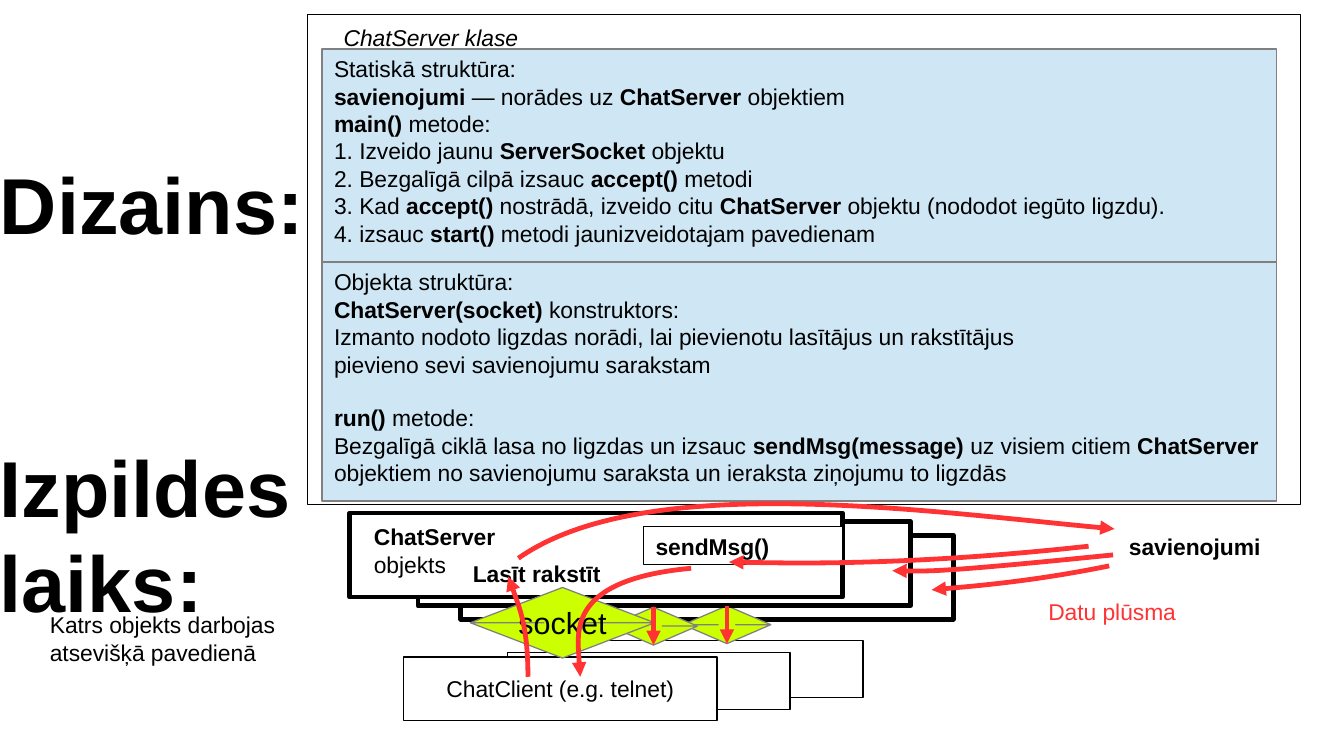
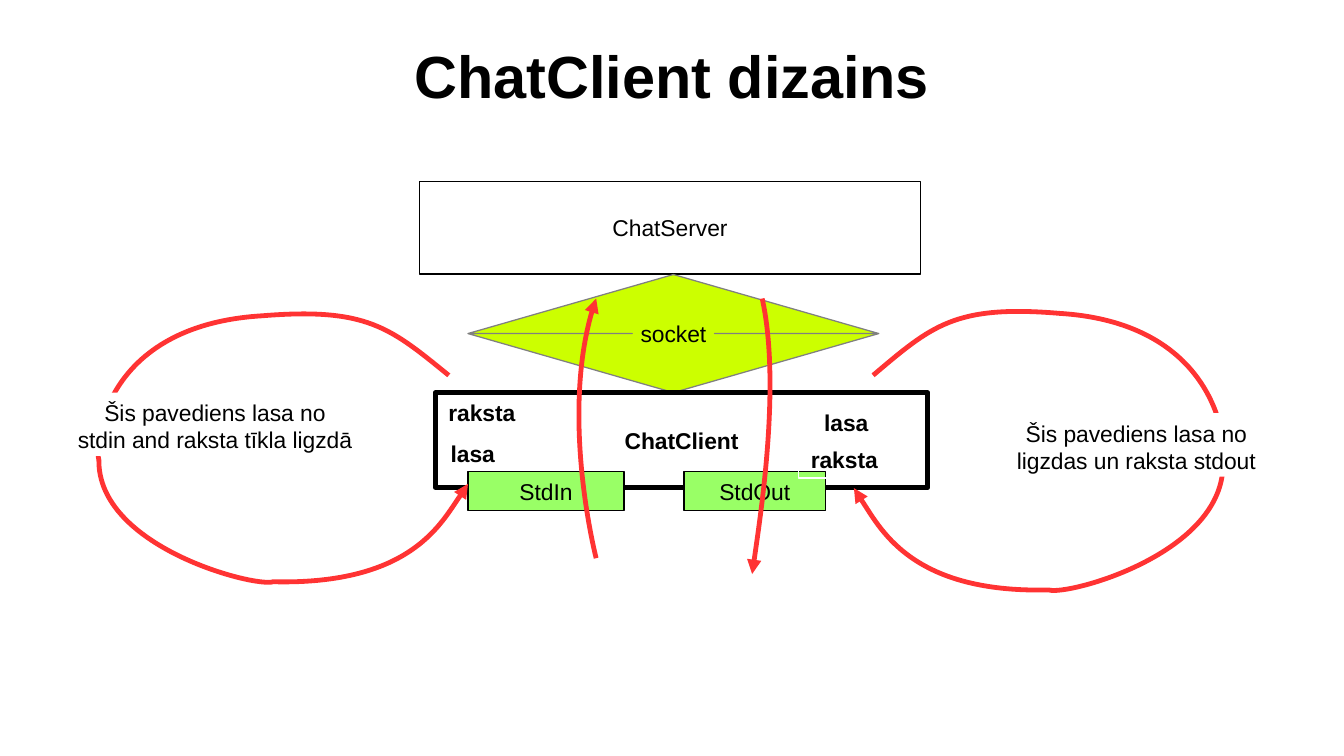
from math import comb

from lxml.etree import SubElement
from pptx import Presentation
from pptx.dml.color import RGBColor
from pptx.enum.shapes import MSO_CONNECTOR, MSO_SHAPE
from pptx.enum.text import MSO_ANCHOR, PP_ALIGN
from pptx.oxml.ns import qn
from pptx.util import Cm, Pt

FONT = "Arial"
BODY_SIZE = 13.5
HAIRLINE, THICK = 0, 2.83
COLORS = {
    "black": "000000", "white": "FFFFFF", "gray": "808080", "red": "FF3333",
    "blue": "CFE7F5", "lime": "CCFF00", "green": "99FF66",
}

# Looks and usual sizes in cm; a style without "shape" is a plain text box.
RECT, ARROW = MSO_SHAPE.RECTANGLE, MSO_SHAPE.UP_DOWN_ARROW
LINE_HEIGHT = 0.79
TWO_LINES = 1.32
CENTERED = dict(align=PP_ALIGN.CENTER, wrap=False)
MIDDLE = dict(CENTERED, anchor=MSO_ANCHOR.MIDDLE)
WHITE_BOX = dict(shape=RECT, fill="white", line="black")
TAG = dict(CENTERED, bold=True, width=1.9, height=LINE_HEIGHT)
STYLES = {
    "title": dict(MIDDLE, size=35.1, bold=True, width=25.2, height=1.85),
    "side title": dict(size=46.8, bold=True, inset=0, line_height=56,
                       width=7.19, height=4),
    "label": dict(width=4.24, height=LINE_HEIGHT),
    "tag": TAG,
    "outlined tag": dict(TAG, shape=RECT, line="white"),
    "frame": dict(shape=RECT, line="black", width=20.7, height=10.21),
    "panel": dict(shape=RECT, fill="blue", line="gray", width=19.88),
    "server": dict(WHITE_BOX, **MIDDLE, weight=THICK, bold=True,
                   width=10.26, height=1.75),
    "client": dict(WHITE_BOX, **MIDDLE, width=5.89, height=1.2),
    "method": dict(WHITE_BOX, bold=True, width=4.14, height=LINE_HEIGHT),
    "stream": dict(MIDDLE, shape=RECT, fill="green", line="black", height=0.81),
    "socket": dict(MIDDLE, shape=ARROW, fill="lime", line="gray",
                   width=1.83, height=LINE_HEIGHT),
    "note": dict(CENTERED, shape=RECT, fill="white", height=TWO_LINES),
}

STATIC_PART = [
    "Statiskā struktūra:",
    "*savienojumi* — norādes uz *ChatServer* objektiem",
    "*main()* metode:",
    "1. Izveido jaunu *ServerSocket* objektu",
    "2. Bezgalīgā cilpā izsauc *accept()* metodi",
    "3. Kad *accept()* nostrādā, izveido citu *ChatServer* objektu (nododot iegūto ligzdu).",
    "4. izsauc *start()* metodi jaunizveidotajam pavedienam",
]
OBJECT_PART = [
    "Objekta struktūra:",
    "*ChatServer(socket)* konstruktors:",
    "Izmanto nodoto ligzdas norādi, lai pievienotu lasītājus un rakstītājus",
    "pievieno sevi savienojumu sarakstam",
    "*run()* metode:",
    "Bezgalīgā ciklā lasa no ligzdas un izsauc *sendMsg(message)* uz visiem citiem "
    "*ChatServer* objektiem no savienojumu saraksta un ieraksta ziņojumu to ligzdās",
]

# Rear pairs of server and client with the socket between them, rearmost first.
REAR_PAIRS = [
    {"server": (9.6, 11.15), "client": (12.09, 13.34), "socket": (14.23, 12.62)},
    {"server": (8.71, 10.87), "client": (10.57, 13.59), "socket": (12.7, 12.65)},
]

# Items: style, (left, top) in cm, paragraphs, changes to the style.
DESIGN_ITEMS = [
    ("server", (7.29, 10.69), [], {}),
    ("frame", (6.4, 0.3), [], {}),
    ("label", (6.91, 0.36), ["ChatServer klase"], dict(italic=True)),
    ("panel", (6.71, 1.02), STATIC_PART, dict(height=4.45)),
    ("panel", (6.71, 5.46), OBJECT_PART, dict(height=4.98, gap_before="*run()* metode:")),
    ("label", (7.54, 10.77), ["*ChatServer* objekts"], {}),
    ("label", (9.6, 11.53), ["*Lasīt rakstīt*"], {}),
    ("method", (13.41, 10.97), ["sendMsg()"], {}),
    ("client", (8.41, 13.69), ["ChatClient (e.g. telnet)"],
     dict(width=6.53, height=TWO_LINES)),
    ("socket", (9.8, 12.24), ["socket"], dict(size=18, width=3.84, height=1.47)),
    ("label", (23.27, 10.97), ["*savienojumi*"], {}),
]
DESIGN_CAPTIONS = [
    ("side title", (0, 3.23), ["Dizains:"], {}),
    ("side title", (0, 9.14), ["Izpildes laiks:"], {}),
    ("label", (0.79, 12.6), ["Katrs objekts darbojas atsevišķā pavedienā"],
     dict(width=6.2)),
    ("label", (21.59, 12.32), ["Datu plūsma"], dict(color="red")),
]
CLIENT_ITEMS = [
    ("title", (1.4, 0.64), ["ChatClient dizains"], {}),
    ("client", (8.74, 3.78), ["ChatServer"], dict(width=10.44, height=1.93)),
    ("socket", (9.75, 5.72), ["socket"], dict(width=8.56, height=2.46)),
    ("server", (9.07, 8.18), ["ChatClient"], dict(height=1.98)),
    ("stream", (9.75, 9.83), ["StdIn"], dict(width=3.25)),
    ("stream", (14.25, 9.83), ["StdOut"], dict(width=2.95)),
    ("tag", (8.9, 9.04), ["lasa"], {}),
    ("tag", (16.68, 8.38), ["lasa"], {}),
    ("tag", (9.09, 8.18), ["raksta"], {}),
    ("outlined tag", (16.64, 9.17), ["raksta"], {}),
]
CLIENT_CAPTIONS = [
    ("note", (20.93, 8.61), ["Šis pavediens lasa no", "ligzdas un raksta stdout"],
     dict(width=5.49)),
    ("note", (1.37, 8.18), ["Šis pavediens lasa no", "stdin and raksta tīkla ligzdā"],
     dict(width=6.22)),
]

# Flows: a start, then two controls and an end per curve; a last control
# that equals the end is left out.
DESIGN_FLOWS = [
    [(11, 14.1), (11, 13), (10.59, 12.01)],
    [(10.8, 11.63), (13.41, 9.8), (19.51, 10.69), (23.22, 11.02)],
    [(22.68, 11.38), (18.75, 11.81), (15.19, 11.71)],
    [(23.19, 11.56), (19.25, 11.96), (18.59, 11.89)],
    [(23.11, 11.79), (21.49, 12.12), (19.41, 12.29)],
    [(14.4, 11.84), (11.68, 12.09), (12.09, 14.1)],
]
LEFT_LOOP = [
    (9.35, 7.82), (8.13, 6.83), (7.65, 6.4), (5.46, 6.58),
    (2.13, 6.78), (1.96, 9.27), (2.06, 9.58),
    (2.03, 11.4), (5.31, 12.24), (5.69, 12.12),
    (8.61, 12.19), (9.75, 10.08),
]
LOOP_MIRROR, LOOP_STRETCH = 27.54, 1.04
CLIENT_FLOWS = [
    [(15.88, 6.22), (16.28, 8.03), (15.67, 11.96)],
    [(12.42, 11.63), (12.42, 11.63), (11.61, 8.51), (12.42, 6.22)],
]


def rgb(name):
    return RGBColor.from_string(COLORS[name])


def write_text(box, paragraphs, *, size=BODY_SIZE, color="black", bold=False,
               italic=False, align=PP_ALIGN.LEFT, anchor=MSO_ANCHOR.TOP,
               wrap=True, inset=None, line_height=None, gap_before=None):
    """Fill box; *stars* mark bold, gap_before names a paragraph set one line apart."""
    frame = box.text_frame
    frame.word_wrap = wrap
    frame.vertical_anchor = anchor
    if inset is not None:
        frame.margin_left = frame.margin_right = Cm(inset)
        frame.margin_top = frame.margin_bottom = Cm(inset)
    for index, text in enumerate(paragraphs):
        para = frame.add_paragraph() if index else frame.paragraphs[0]
        para.alignment = align
        if text == gap_before:
            para.space_before = Pt(size * 1.15)
        if line_height:
            para.line_spacing = Pt(line_height)
        for part, words in enumerate(text.split("*")):
            if words:
                span = para.add_run()
                span.text = words
                span.font.name = FONT
                span.font.size = Pt(size)
                span.font.bold = bold or part % 2 == 1
                span.font.italic = italic
                span.font.color.rgb = rgb(color)


def add_item(page, style, corner, paragraphs=(), changes=None):
    form = {**STYLES[style], **(changes or {})}
    shape, fill, line = (form.pop(key, None) for key in ("shape", "fill", "line"))
    weight = form.pop("weight", HAIRLINE)
    place = [Cm(length) for length in (*corner, form.pop("width"), form.pop("height"))]
    if shape is None:
        box = page.shapes.add_textbox(*place)
    else:
        box = page.shapes.add_shape(shape, *place)
        box.shadow.inherit = False
        if shape == ARROW:
            box.adjustments[1] = 0.2
        if fill:
            box.fill.solid()
            box.fill.fore_color.rgb = rgb(fill)
        else:
            box.fill.background()
        if line:
            box.line.color.rgb = rgb(line)
            box.line.width = Pt(weight)
        else:
            box.line.fill.background()
    if paragraphs:
        write_text(box, paragraphs, **form)


def bezier_point(controls, t):
    weights = [comb(3, k) * t ** k * (1 - t) ** (3 - k) for k in range(4)]
    return tuple(sum(w * c for w, c in zip(weights, axis)) for axis in zip(*controls))


def add_curve(page, points):
    """Draw cubic curves: sampled points set the bounds, then true curves replace them."""
    points = [(Cm(x), Cm(y)) for x, y in points]
    if len(points) % 3 == 0:
        points.append(points[-1])
    steps = 20
    samples = [bezier_point(points[start:start + 4], step / steps)
               for start in range(0, len(points) - 1, 3)
               for step in range(1, steps + 1)]
    builder = page.shapes.build_freeform(*points[0])
    builder.add_line_segments(samples, close=False)
    curve = builder.convert_to_shape()
    outline = next(curve.element.iter(qn("a:path")))
    for segment in list(outline):
        outline.remove(segment)
    for index, (x, y) in enumerate(points):
        if index == 0:
            segment = SubElement(outline, qn("a:moveTo"))
        elif index % 3 == 1:
            segment = SubElement(outline, qn("a:cubicBezTo"))
        SubElement(segment, qn("a:pt"), x=str(x - curve.left), y=str(y - curve.top))
    curve.shadow.inherit = False
    curve.fill.background()
    return curve


def add_flow(page, points):
    if len(points) == 2:
        ends = [Cm(value) for point in points for value in point]
        flow = page.shapes.add_connector(MSO_CONNECTOR.STRAIGHT, *ends)
    else:
        flow = add_curve(page, points)
    flow.line.color.rgb = rgb("red")
    flow.line.width = Pt(THICK)
    properties = flow.element.spPr
    SubElement(properties.find(qn("a:ln")), qn("a:tailEnd"), type="triangle")
    if properties.find(qn("a:effectLst")) is None:
        SubElement(properties, qn("a:effectLst"))


def socket_flow(corner):
    """Straight flow down the middle of a small socket."""
    left, top = corner
    middle = left + STYLES["socket"]["width"] / 2
    return [(middle, top), (middle, top + STYLES["socket"]["height"])]


def mirrored(loop):
    """Reflect the loop to the other side, a little taller."""
    start = loop[0][1]
    return [(LOOP_MIRROR - x, start + (y - start) * LOOP_STRETCH) for x, y in loop]


def main():
    deck = Presentation()
    deck.slide_width, deck.slide_height = Cm(28), Cm(15.75)
    rear_items = [item for pair in REAR_PAIRS for item in pair.items()]
    rear_flows = [socket_flow(pair["socket"]) for pair in REAR_PAIRS]
    slides = [
        (rear_items + DESIGN_ITEMS, DESIGN_FLOWS + rear_flows, DESIGN_CAPTIONS),
        (CLIENT_ITEMS, [mirrored(LEFT_LOOP), LEFT_LOOP] + CLIENT_FLOWS, CLIENT_CAPTIONS),
    ]
    for items, flows, captions in slides:
        page = deck.slides.add_slide(deck.slide_layouts[6])
        for item in items:
            add_item(page, *item)
        for points in flows:
            add_flow(page, points)
        for caption in captions:
            add_item(page, *caption)
    deck.save("out.pptx")


if __name__ == "__main__":
    main()
